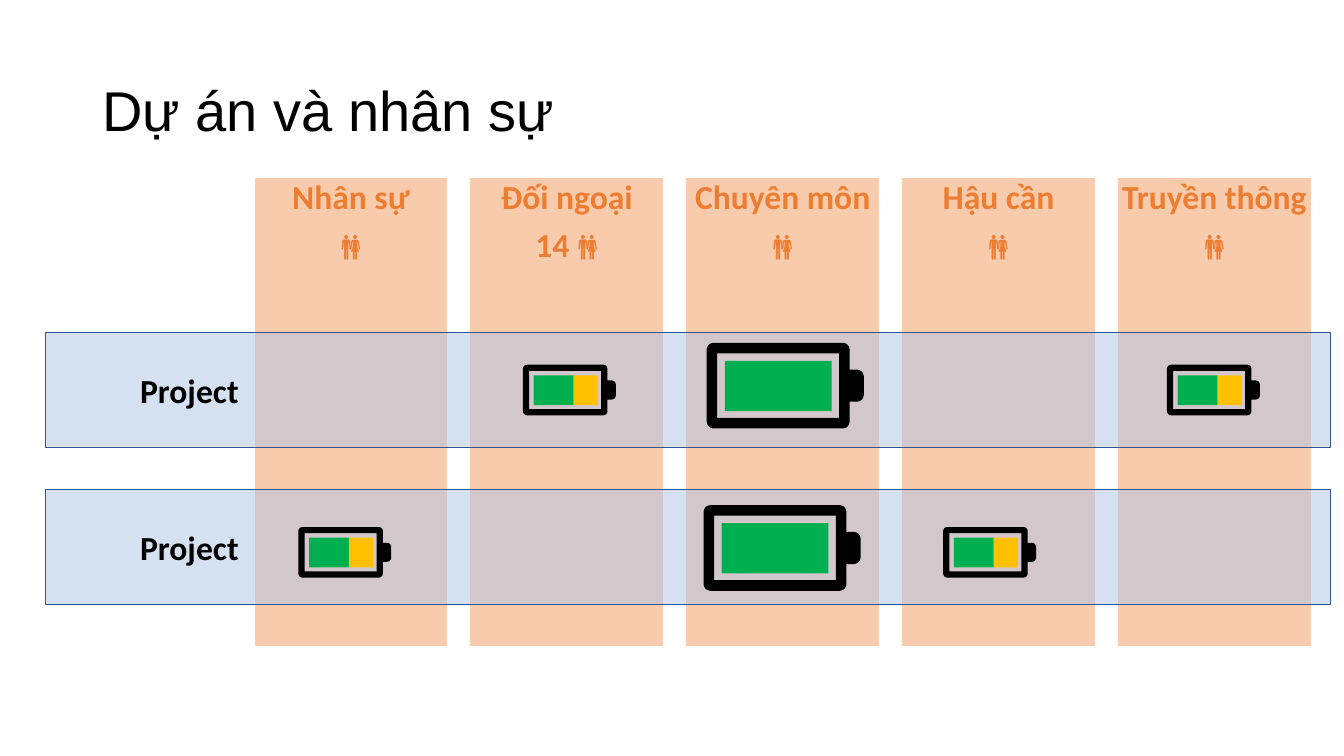
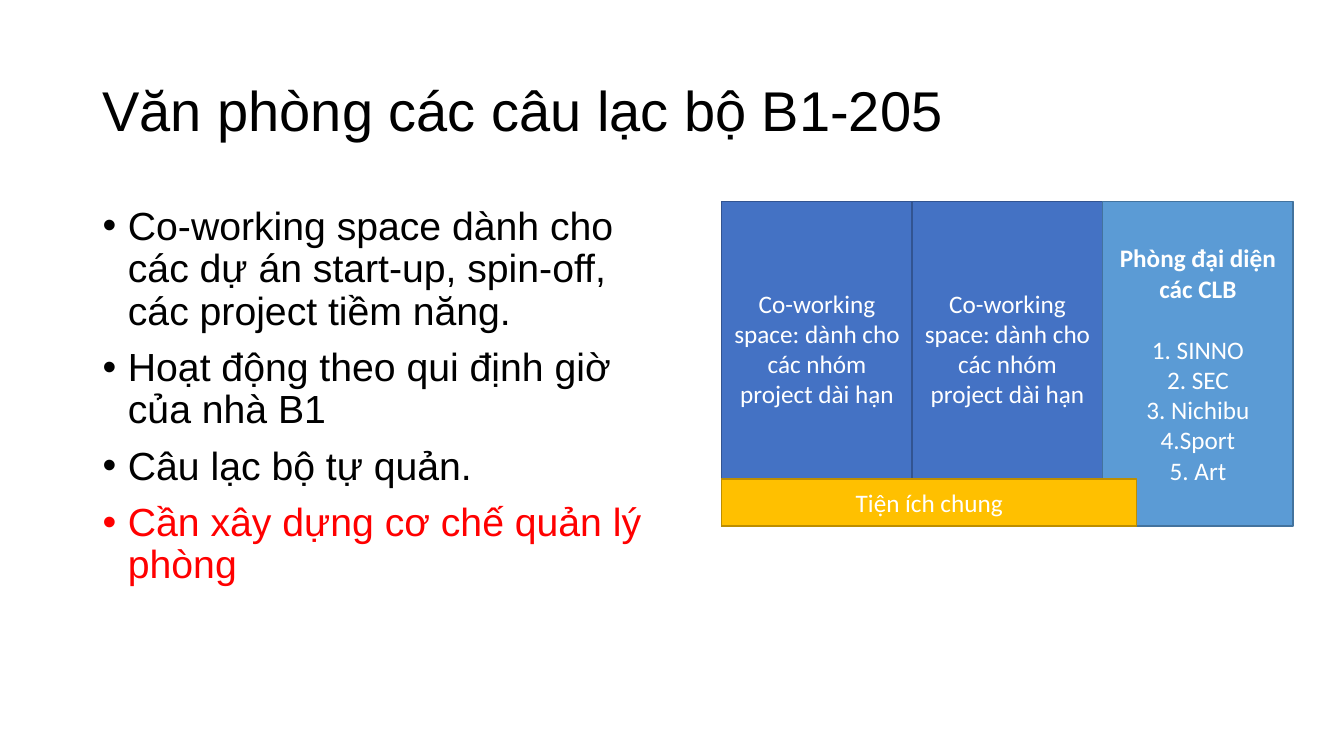
from dataclasses import dataclass
from math import cos, pi, sin

from lxml.etree import SubElement
from pptx import Presentation
from pptx.dml.color import RGBColor
from pptx.enum.shapes import MSO_SHAPE
from pptx.enum.text import MSO_ANCHOR, MSO_AUTO_SIZE, PP_ALIGN
from pptx.oxml.ns import qn
from pptx.util import Cm, Pt


# Theme
@dataclass(frozen=True)
class Theme:
    head: str = "Arial"
    text: str = "Calibri"
    black: str = "000000"
    white: str = "FFFFFF"
    red: str = "FF0000"
    orange: str = "ED7D31"
    peach: str = "F8CBAD"
    pale: str = "B4C7E7"
    blue: str = "4472C4"
    navy: str = "325491"
    sky: str = "5B9BD5"
    steel: str = "43739E"
    gold: str = "FFC000"
    bronze: str = "BD8E00"
    green: str = "00B050"
    title: int = 40
    body: int = 28
    label: int = 24
    small: int = 18


T = Theme()

# Content: staff matrix
STAFF = "Dự án và nhân sự"
TEAMS = [
    ("Nhân sự", "👫"),
    ("Đối ngoại", "14 👫"),
    ("Chuyên môn", "👫"),
    ("Hậu cần", "👫"),
    ("Truyền thông", "👫"),
]
ROWS = ["Project", "Project"]
BIG, SMALL = 3.96, 2.34
FULL = [(0.68, T.green)]
PART = [(0.43, T.green), (0.26, T.gold)]
CELLS = [  # left, top, width, charge
    (17.81, 8.64, BIG, FULL),
    (13.18, 9.19, SMALL, PART),
    (17.73, 12.73, BIG, FULL),
    (29.41, 9.19, SMALL, PART),
    (7.52, 13.28, SMALL, PART),
    (23.77, 13.28, SMALL, PART),
]

# Content: club office
OFFICE = "Văn phòng các câu lạc bộ B1-205"
POINTS = [
    ("Co-working space dành cho các dự án start-up, spin-off, "
     "các project tiềm năng.", T.black),
    ("Hoạt động theo qui định giờ của nhà B1", T.black),
    ("Câu lạc bộ tự quản.", T.black),
    ("Cần xây dựng cơ chế quản lý phòng", T.red),
]
SHARED = ["Co-working space: dành cho các nhóm project dài hạn"]
CLUBS = ["Phòng đại diện các CLB", "1. SINNO", "2. SEC", "3. Nichibu",
         "4.Sport", "5. Art"]
ROOMS = [
    (SHARED, T.blue, T.navy),
    (SHARED, T.blue, T.navy),
    (CLUBS, T.sky, T.steel),
]
COMMON = ["Tiện ích chung"]


# Shared helpers
def rgb(code):
    return RGBColor.from_string(code)


def place(shape, left, top, width, height):
    shape.left, shape.top = Cm(left), Cm(top)
    shape.width, shape.height = Cm(width), Cm(height)


def style(para, face, size, color, bold=False):
    for run in para.runs:
        font = run.font
        font.name, font.size, font.bold = face, Pt(size), bold
        font.color.rgb = rgb(color)


def write(frame, lines, size, color, bold=False, align=PP_ALIGN.CENTER):
    frame.word_wrap = True
    frame.text = "\n".join(lines)
    for para in frame.paragraphs:
        para.alignment = align
        style(para, T.text, size, color, bold)


def box(slide, area, fill, line, width=1):
    shape = slide.shapes.add_shape(MSO_SHAPE.RECTANGLE, *map(Cm, area))
    shape.shadow.inherit = False
    shape.fill.solid()
    shape.fill.fore_color.rgb = rgb(fill)
    shape.line.color.rgb = rgb(line)
    shape.line.width = Pt(width)
    return shape


def start(deck, layout, title):
    slide = deck.slides.add_slide(deck.slide_layouts[layout])
    head = slide.shapes.title
    place(head, 2.33, 1.02, 29.21, 3.68)
    frame = head.text_frame
    frame.text = title
    frame.auto_size = MSO_AUTO_SIZE.NONE
    frame.vertical_anchor = MSO_ANCHOR.MIDDLE
    para = frame.paragraphs[0]
    para.alignment, para.line_spacing = PP_ALIGN.LEFT, 0.9
    style(para, T.head, T.title, T.black)
    return slide


# Battery icon, in fractions of its width
def bend(x, y, turn, r=0.045, steps=6):
    """Points of a quarter arc round (x, y), starting at angle turn."""
    angles = [turn + pi / 2 * i / steps for i in range(steps + 1)]
    return [(x + r * cos(a), y + r * sin(a)) for a in angles]


def trace(slide, left, top, width, loops, fill):
    unit = Cm(width)
    path = slide.shapes.build_freeform(
        round(loops[0][0][0] * 1000), round(loops[0][0][1] * 1000), unit / 1000)
    for i, loop in enumerate(loops):
        dots = [(round(x * 1000), round(y * 1000)) for x, y in loop]
        if i:
            path.move_to(*dots[0])
        path.add_line_segments(dots[1:], close=True)
    shape = path.convert_to_shape(Cm(left), Cm(top))
    shape.shadow.inherit = False
    shape.fill.solid()
    shape.fill.fore_color.rgb = rgb(fill)
    shape.line.fill.background()


def battery(slide, left, top, width, charge):
    body, tall, r, wall = 0.91, 0.545, 0.045, 0.067
    low, high = 0.17, 0.375
    shell = (
        bend(r, r, pi) + bend(body - r, r, 1.5 * pi)
        + [(body, low)] + bend(1 - r, low + r, 1.5 * pi)
        + bend(1 - r, high - r, 0) + [(body, high)]
        + bend(body - r, tall - r, 0) + bend(r, tall - r, pi / 2)
    )
    x, y = body - wall, tall - wall
    hole = [(wall, wall), (wall, y), (x, y), (x, wall)]
    trace(slide, left, top, width, [shell, hole], T.black)
    x = 0.115
    for part, color in charge:
        area = (left + x * width, top + 0.115 * width,
                part * width, 0.32 * width)
        box(slide, area, color, color).line.fill.background()
        x += part


# Slides
def staff(deck):
    slide = start(deck, 5, STAFF)
    for i, team in enumerate(TEAMS):
        area = (6.43 + 5.44 * i, 4.5, 4.83, 11.76)
        frame = box(slide, area, T.peach, T.peach, 0.75).text_frame
        frame.margin_left = frame.margin_right = Cm(0.05)
        frame.margin_top = frame.margin_bottom = Cm(0.05)
        frame.vertical_anchor = MSO_ANCHOR.TOP
        write(frame, team, T.label, T.orange, True)
        for para in frame.paragraphs:
            para.line_spacing, para.space_after = 0.9, Pt(8)
    for i, name in enumerate(ROWS):
        top = 8.38 + 3.96 * i
        band = box(slide, (1.14, top, 32.39, 2.9), T.pale, T.navy)
        tint = band.fill._xPr.find(qn("a:solidFill"))[0]
        SubElement(tint, qn("a:alpha")).set("val", "55000")
        label = slide.shapes.add_textbox(
            Cm(3.28), Cm(top + 0.81), Cm(3.66), Cm(1.27))
        write(label.text_frame, [name], T.label, T.black, True, PP_ALIGN.LEFT)
    for cell in CELLS:
        battery(slide, *cell)


def office(deck):
    slide = start(deck, 1, OFFICE)
    # Bulleted list
    body = slide.placeholders[1]
    place(body, 2.33, 5.08, 14.99, 9.86)
    frame = body.text_frame
    frame.text = "\n".join(text for text, _ in POINTS)
    frame.auto_size = MSO_AUTO_SIZE.NONE
    for i, (para, (_, color)) in enumerate(zip(frame.paragraphs, POINTS)):
        props = para._p.get_or_add_pPr()
        props.set("marL", str(Cm(0.64)))
        props.set("indent", str(Cm(-0.64)))
        SubElement(props, qn("a:buFont")).set("typeface", T.head)
        SubElement(props, qn("a:buChar")).set("char", "•")
        para.line_spacing = 0.9
        para.space_before = Pt(10 if i else 0)
        style(para, T.head, T.body, color)
    # Floor plan
    left, top, wide, tall = 18.19, 5.08, 4.8, 8.18
    for i, (lines, fill, line) in enumerate(ROOMS):
        frame = box(slide, (left + wide * i, top, wide, tall),
                    fill, line).text_frame
        frame.vertical_anchor = MSO_ANCHOR.MIDDLE
        write(frame, lines, T.small, T.white)
        if lines is CLUBS:
            style(frame.paragraphs[0], T.text, T.small, T.white, True)
            frame.paragraphs[1].space_before = Pt(22)
        else:
            frame.margin_bottom = Cm(0.9)
    high = 1.19
    strip = box(slide, (left, top + tall - high, 10.46, high),
                T.gold, T.bronze).text_frame
    strip.vertical_anchor = MSO_ANCHOR.MIDDLE
    write(strip, COMMON, T.small, T.white)


def main():
    deck = Presentation()
    deck.slide_width, deck.slide_height = Cm(33.87), Cm(19.05)
    staff(deck)
    office(deck)
    deck.save("out.pptx")


if __name__ == "__main__":
    main()
